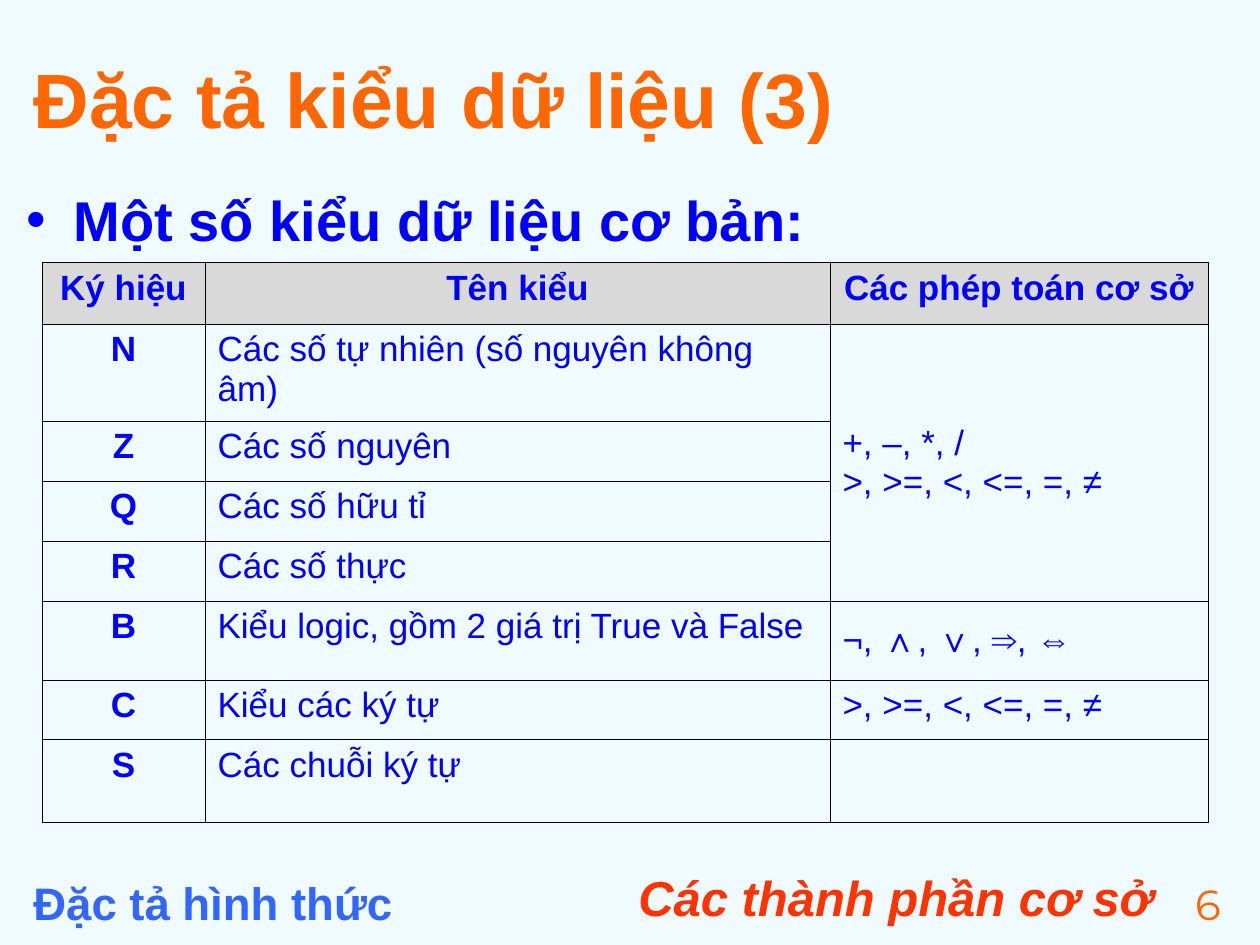
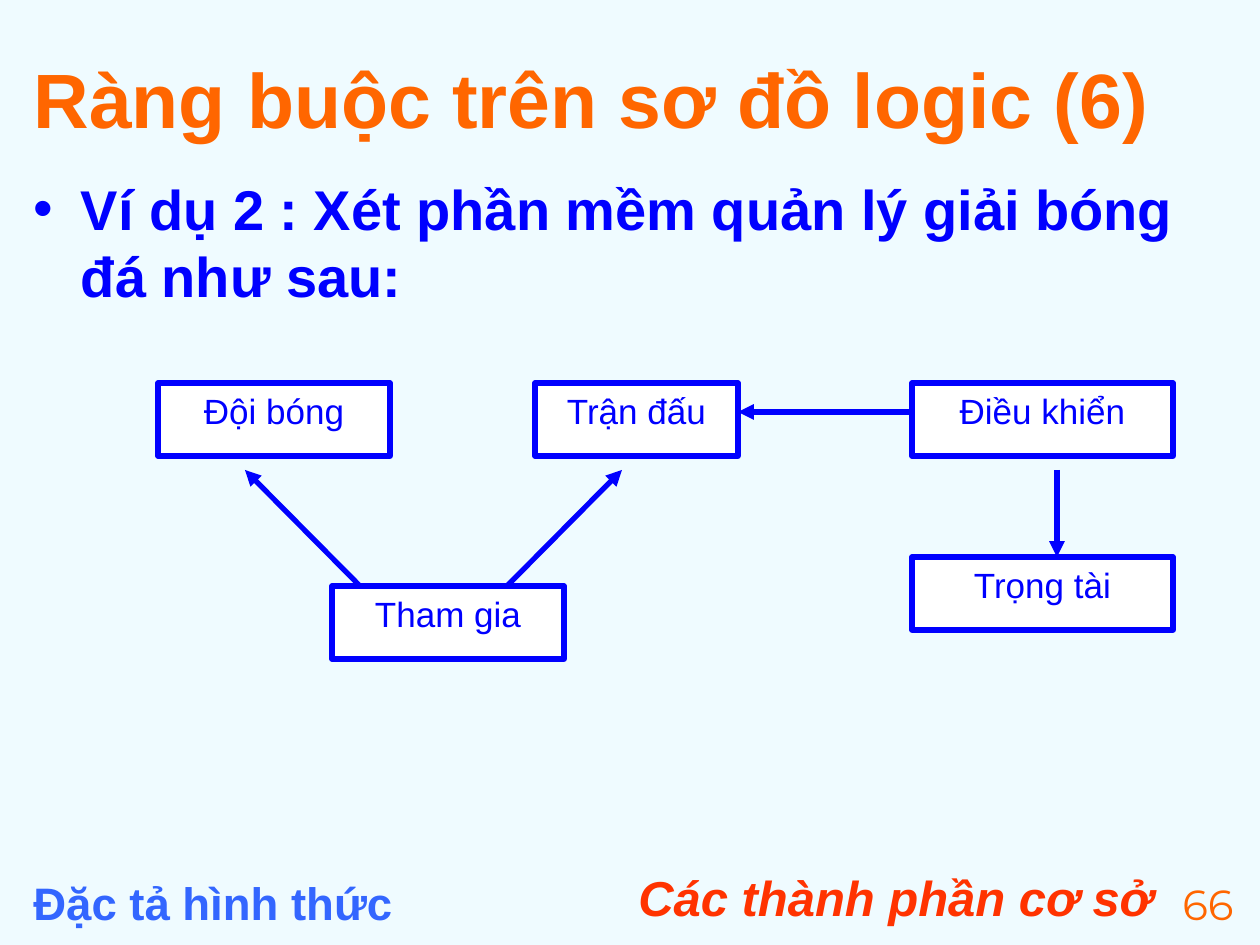
from lxml.etree import SubElement
from pptx import Presentation
from pptx.dml.color import RGBColor
from pptx.enum.shapes import MSO_CONNECTOR, MSO_SHAPE
from pptx.enum.text import MSO_ANCHOR, MSO_AUTO_SIZE, PP_ALIGN
from pptx.oxml.ns import qn
from pptx.util import Emu, Pt

# Colours
SKY = RGBColor(0xEF, 0xFB, 0xFF)
BLUE = RGBColor(0x00, 0x00, 0xFF)
AZURE = RGBColor(0x33, 0x66, 0xFF)
ORANGE = RGBColor(0xFF, 0x66, 0x00)
RED = RGBColor(0xFF, 0x33, 0x00)
GREY = RGBColor(0xD9, 0xD9, 0xD9)
WHITE = RGBColor(0xFF, 0xFF, 0xFF)
BLACK = RGBColor(0x00, 0x00, 0x00)

# Font formats: attributes and colour
TITLE = {"size": Pt(44), "name": "Arial", "bold": True}, ORANGE
BODY = {"size": Pt(32), "name": "Arial", "bold": True}, BLUE
THEME = {"size": Pt(28), "name": "Arial", "bold": True, "italic": True}, RED
COURSE = {"size": Pt(26), "name": "Arial", "bold": True}, AZURE
NUMBER = {"size": Pt(24), "name": "Montserrat"}, ORANGE
HEAD = {"size": Pt(20), "name": "Arial", "bold": True}, BLUE
PLAIN = {"size": Pt(20), "name": "Arial", "bold": False}, BLUE

LEFT, MID, RIGHT = PP_ALIGN.LEFT, PP_ALIGN.CENTER, PP_ALIGN.RIGHT
SCALE = 914400 / 126

# Basic types table
WIDTHS = [163, 625, 378]
HEIGHTS = [62, 97, 60, 60, 60, 79, 60, 83]
COMPARE = ">, >=, <, <=, =, ≠"
TYPES = [
    ("Ký hiệu", "Tên kiểu", "Các phép toán cơ sở"),
    ("N", "Các số tự nhiên (số nguyên không âm)", "+, –, *, /\n" + COMPARE),
    ("Z", "Các số nguyên", ""),
    ("Q", "Các số hữu tỉ", ""),
    ("R", "Các số thực", ""),
    ("B", "Kiểu logic, gồm 2 giá trị True và False", "¬, ∧, ∨, ⇒, ⇔"),
    ("C", "Kiểu các ký tự", COMPARE),
    ("S", "Các chuỗi ký tự", ""),
]

# Logic diagram: left, top, width of each box, and arrow ends
BOX = 73
TOP = 383
FOOT = 470
NODES = {
    "Đội bóng": (158, TOP, 232),
    "Tham gia": (332, 586, 232),
    "Trận đấu": (535, TOP, 203),
    "Điều khiển": (912, TOP, 261),
    "Trọng tài": (912, 557, 261),
}
ARROWS = [
    (912, 412, 738, 412),
    (1057, FOOT, 1057, 557),
    (360, 586, 245, FOOT),
    (507, 586, 622, FOOT),
]


def px(*values):
    return [Emu(round(value * SCALE)) for value in values]


def write(frame, text, style, align=LEFT):
    values, colour = style
    frame.text = text
    frame.word_wrap = True
    for para in frame.paragraphs:
        para.alignment = align
        para.space_before = Pt(0)
        for run in para.runs:
            for key, value in values.items():
                setattr(run.font, key, value)
            run.font.color.rgb = colour


def label(slide, area, text, style, align):
    box = slide.shapes.add_textbox(*px(*area))
    write(box.text_frame, text, style, align)


def place(holder, area, text, style):
    holder.left, holder.top, holder.width, holder.height = px(*area)
    holder.text_frame.auto_size = MSO_AUTO_SIZE.NONE
    write(holder.text_frame, text, style)


def bullet(para):
    props = para._p.get_or_add_pPr()
    props.set("marL", "342900")
    props.set("indent", "-342900")
    tint = SubElement(props, qn("a:buClr"))
    SubElement(tint, qn("a:srgbClr"), val=str(BLUE))
    SubElement(props, qn("a:buFont"), typeface="Arial")
    SubElement(props, qn("a:buChar"), char="•")


def page(deck, title, point, area, number):
    slide = deck.slides.add_slide(deck.slide_layouts[1])
    # Footer
    label(slide, (514, 861, 651, 66), "Các thành phần cơ sở", THEME, RIGHT)
    label(slide, (21, 869, 599, 55), "Đặc tả hình thức", COURSE, LEFT)
    label(slide, (1166, 872, 84, 55), number, NUMBER, MID)
    # Title and bullet
    place(slide.shapes.title, (21, 38, 1227, 120), title, TITLE)
    slide.shapes.title.text_frame.vertical_anchor = MSO_ANCHOR.MIDDLE
    body = slide.placeholders[1]
    place(body, area, point, BODY)
    bullet(body.text_frame.paragraphs[0])
    return slide


def border(cell):
    props = cell._tc.get_or_add_tcPr()
    for side in ("lnL", "lnR", "lnT", "lnB"):
        line = SubElement(props, qn("a:" + side), w=str(Pt(0.45)))
        fill = SubElement(line, qn("a:solidFill"))
        SubElement(fill, qn("a:srgbClr"), val=str(BLACK))


def grid(slide, left, top):
    area = px(left, top, sum(WIDTHS), sum(HEIGHTS))
    table = slide.shapes.add_table(len(HEIGHTS), len(WIDTHS), *area).table
    table.first_row = table.horz_banding = False
    for col, width in zip(table.columns, px(*WIDTHS)):
        col.width = width
    for row, height in zip(table.rows, px(*HEIGHTS)):
        row.height = height
    for i, texts in enumerate(TYPES):
        for j, text in enumerate(texts):
            cell = table.cell(i, j)
            strong = i == 0 or j == 0
            write(cell.text_frame, text, HEAD if strong else PLAIN,
                  MID if strong else LEFT)
            border(cell)
            if i == 0:
                cell.fill.solid()
                cell.fill.fore_color.rgb = GREY
            else:
                cell.fill.background()
    # Number types share one set of operators
    table.cell(1, 2).merge(table.cell(4, 2))
    for i in (1, 5):
        table.cell(i, 2).vertical_anchor = MSO_ANCHOR.MIDDLE


def stroke(line):
    line.color.rgb = BLUE
    line.width = Pt(3)


def node(slide, text, left, top, width):
    area = px(left, top, width, BOX)
    box = slide.shapes.add_shape(MSO_SHAPE.RECTANGLE, *area)
    box.shadow.inherit = False
    box.fill.solid()
    box.fill.fore_color.rgb = WHITE
    stroke(box.line)
    box.text_frame.vertical_anchor = MSO_ANCHOR.TOP
    write(box.text_frame, text, PLAIN, MID)


def arrow(slide, ends):
    link = slide.shapes.add_connector(MSO_CONNECTOR.STRAIGHT, *px(*ends))
    stroke(link.line)
    SubElement(link.line._get_or_add_ln(), qn("a:tailEnd"), type="triangle")
    SubElement(link._element.spPr, qn("a:effectLst"))


def main():
    deck = Presentation()
    deck.slide_width, deck.slide_height = px(1260, 945)
    back = deck.slide_master.background.fill
    back.solid()
    back.fore_color.rgb = SKY

    # Basic data types
    slide = page(deck, "Đặc tả kiểu dữ liệu (3)",
                 "Một số kiểu dữ liệu cơ bản:", (14, 179, 1221, 672), "6")
    grid(slide, 42, 262)

    # Football league diagram
    slide = page(deck, "Ràng buộc trên sơ đồ logic (6)",
                 "Ví dụ 2 : Xét phần mềm quản lý giải bóng đá như sau:",
                 (21, 168, 1223, 683), "66")
    for text, spot in NODES.items():
        node(slide, text, *spot)
    for ends in ARROWS:
        arrow(slide, ends)

    deck.save("out.pptx")


if __name__ == "__main__":
    main()
